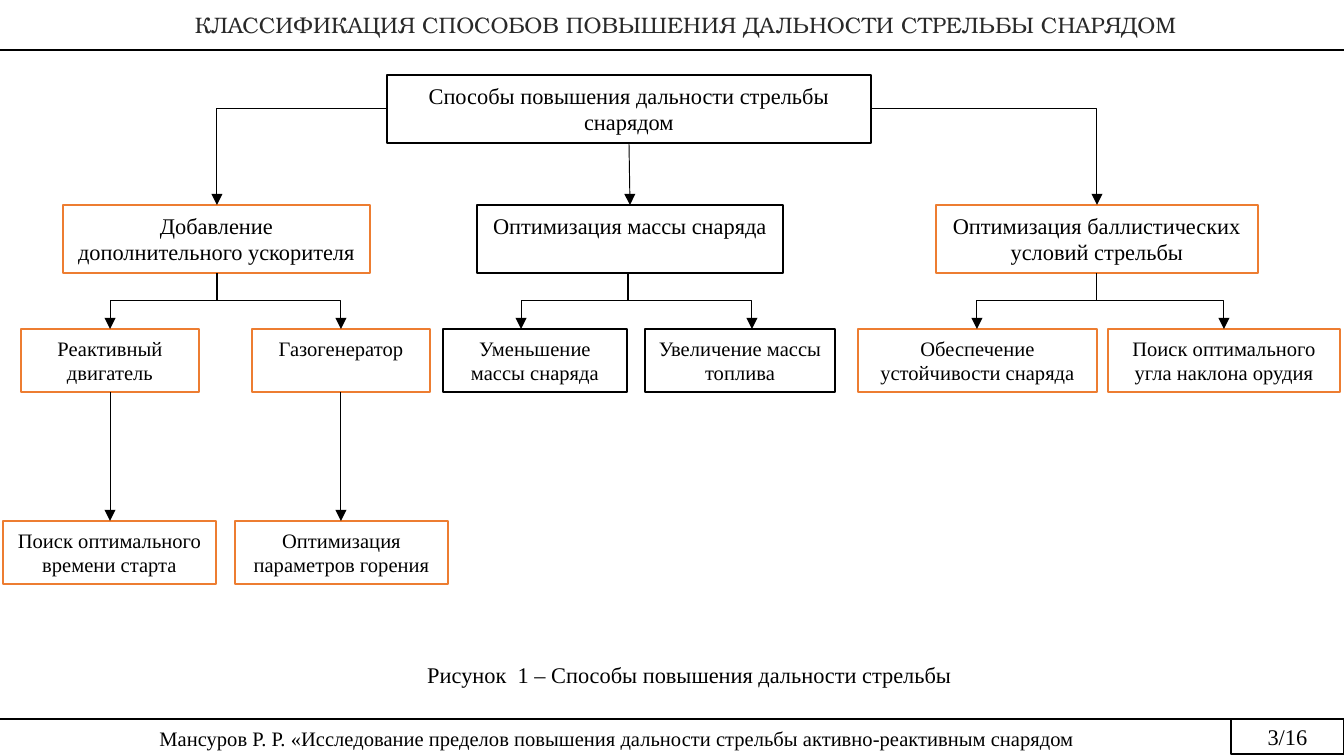
from lxml import etree
from pptx import Presentation
from pptx.dml.color import RGBColor
from pptx.enum.shapes import MSO_CONNECTOR as CONNECTOR, MSO_SHAPE as SHAPE
from pptx.enum.text import MSO_ANCHOR as ANCHOR, MSO_AUTO_SIZE as AUTO_SIZE, PP_ALIGN as ALIGN
from pptx.oxml.ns import qn
from pptx.util import Pt

PX = 6804  # EMU in one px, 134.4 px to the inch
BLACK, ORANGE, WHITE, GREY = "000000", "ED7D31", "FFFFFF", "292929"
color = RGBColor.from_string


def write_text(shape, text, size, anchor=ANCHOR.TOP, align=ALIGN.CENTER,
               font="Times New Roman", font_color=BLACK):
    frame = shape.text_frame
    frame.text = text
    frame.word_wrap = True
    frame.auto_size = AUTO_SIZE.NONE
    frame.vertical_anchor = anchor
    for paragraph in frame.paragraphs:
        paragraph.alignment = align
        for run in paragraph.runs:
            run.font.name = font
            run.font.size = Pt(size)
            run.font.color.rgb = color(font_color)


def draw_line(kind, x1, y1, x2, y2, width=0.5, arrow=True):
    connector = slide.shapes.add_connector(kind, x1 * PX, y1 * PX, x2 * PX, y2 * PX)
    connector.line.color.rgb = color(BLACK)
    connector.line.width = Pt(width)
    properties = connector._element.spPr
    if arrow:
        etree.SubElement(properties.find(qn("a:ln")), qn("a:tailEnd"), type="triangle")
    etree.SubElement(properties, qn("a:effectLst"))
    return connector


presentation = Presentation()
presentation.slide_width, presentation.slide_height = 1344 * PX, 756 * PX
slide = presentation.slides.add_slide(presentation.slide_layouts[5])

# Title
title = slide.shapes.title
title.left, title.top, title.width, title.height = 0, 0, 1344 * PX, 50 * PX
write_text(title, "КЛАССИФИКАЦИЯ СПОСОБОВ ПОВЫШЕНИЯ ДАЛЬНОСТИ СТРЕЛЬБЫ СНАРЯДОМ", 12,
           anchor=ANCHOR.MIDDLE, font="TeX Gyre Bonum", font_color=GREY)
frame = title.text_frame
frame.margin_left = 29 * PX
frame.margin_right = frame.margin_top = frame.margin_bottom = PX
draw_line(CONNECTOR.STRAIGHT, 0, 50, 1344, 50, width=0.75, arrow=False)

# Footer and page number
footer = slide.shapes.add_textbox(0, 721 * PX, 1234 * PX, 35 * PX)
write_text(footer, "Мансуров Р. Р. «Исследование пределов повышения дальности стрельбы "
           "активно-реактивным снарядом", 11, anchor=ANCHOR.MIDDLE)
draw_line(CONNECTOR.STRAIGHT, 0, 719, 1234, 719, width=0.75, arrow=False)
page_number = slide.shapes.add_shape(SHAPE.RECTANGLE, 1231 * PX, 719 * PX, 113 * PX, 35 * PX)
page_number.shadow.inherit = False
page_number.fill.background()
page_number.line.color.rgb = color(BLACK)
page_number.line.width = Pt(0.75)
write_text(page_number, "3/16", 12, anchor=ANCHOR.MIDDLE)
for shape in (footer, page_number):
    shape.text_frame.margin_top = shape.text_frame.margin_bottom = 5 * PX

# Caption
caption = slide.shapes.add_textbox(414 * PX, 655 * PX, 626 * PX, 40 * PX)
write_text(caption, "Рисунок  1 – Способы повышения дальности стрельбы", 12, align=ALIGN.LEFT)

# Boxes by level: top, height, text size, then left, width, outline, text
levels = [
    (75, 68, 12, [(387, 484, BLACK, "Способы повышения дальности стрельбы снарядом")]),
    (205, 68, 12, [
        (63, 307, ORANGE, "Добавление дополнительного ускорителя"),
        (477, 306, BLACK, "Оптимизация массы снаряда"),
        (936, 322, ORANGE, "Оптимизация баллистических\nусловий стрельбы")]),
    (329, 63, 11, [
        (21, 178, ORANGE, "Реактивный двигатель"),
        (252, 178, ORANGE, "Газогенератор"),
        (443, 184, BLACK, "Уменьшение массы снаряда"),
        (645, 190, BLACK, "Увеличение массы топлива"),
        (858, 239, ORANGE, "Обеспечение устойчивости снаряда"),
        (1108, 232, ORANGE, "Поиск оптимального угла наклона орудия")]),
    (521, 63, 11, [
        (3, 213, ORANGE, "Поиск оптимального времени старта"),
        (235, 213, ORANGE, "Оптимизация параметров горения")]),
]
for top, height, size, boxes in levels:
    for left, width, outline, text in boxes:
        box = slide.shapes.add_shape(SHAPE.RECTANGLE, left * PX, top * PX, width * PX, height * PX)
        box.shadow.inherit = False
        box.fill.solid()
        box.fill.fore_color.rgb = color(WHITE)
        box.line.color.rgb = color(outline)
        box.line.width = Pt(1)
        write_text(box, text, size)

# Arrows from the root: one straight, two with a single bend
draw_line(CONNECTOR.STRAIGHT, 629, 143, 630, 205)
for start, end in [(387, 217), (871, 1097)]:
    connector = draw_line(CONNECTOR.ELBOW, start, 109, end, 205)
    connector._element.spPr.find(qn("a:prstGeom")).set("prst", "bentConnector2")

# Forks from the second level: elbows turned to leave downwards
fork_top, fork_bottom = 273, 329
drop = fork_bottom - fork_top
for parent, children in [(217, (110, 341)), (628, (521, 752)), (1097, (977, 1224))]:
    for child in children:
        connector = draw_line(CONNECTOR.ELBOW, 0, 0, drop, abs(child - parent))
        connector.left = (parent + child) * PX // 2 - connector.width // 2
        connector.top = (fork_top + fork_bottom) * PX // 2 - connector.height // 2
        transform = connector._element.spPr.find(qn("a:xfrm"))
        if child < parent:
            transform.set("rot", "5400000")
        else:
            transform.set("rot", "16200000")
            transform.set("flipH", "1")

# Arrows to the last level
for x in (110, 341):
    draw_line(CONNECTOR.STRAIGHT, x, 392, x, 521)

presentation.save("out.pptx")
